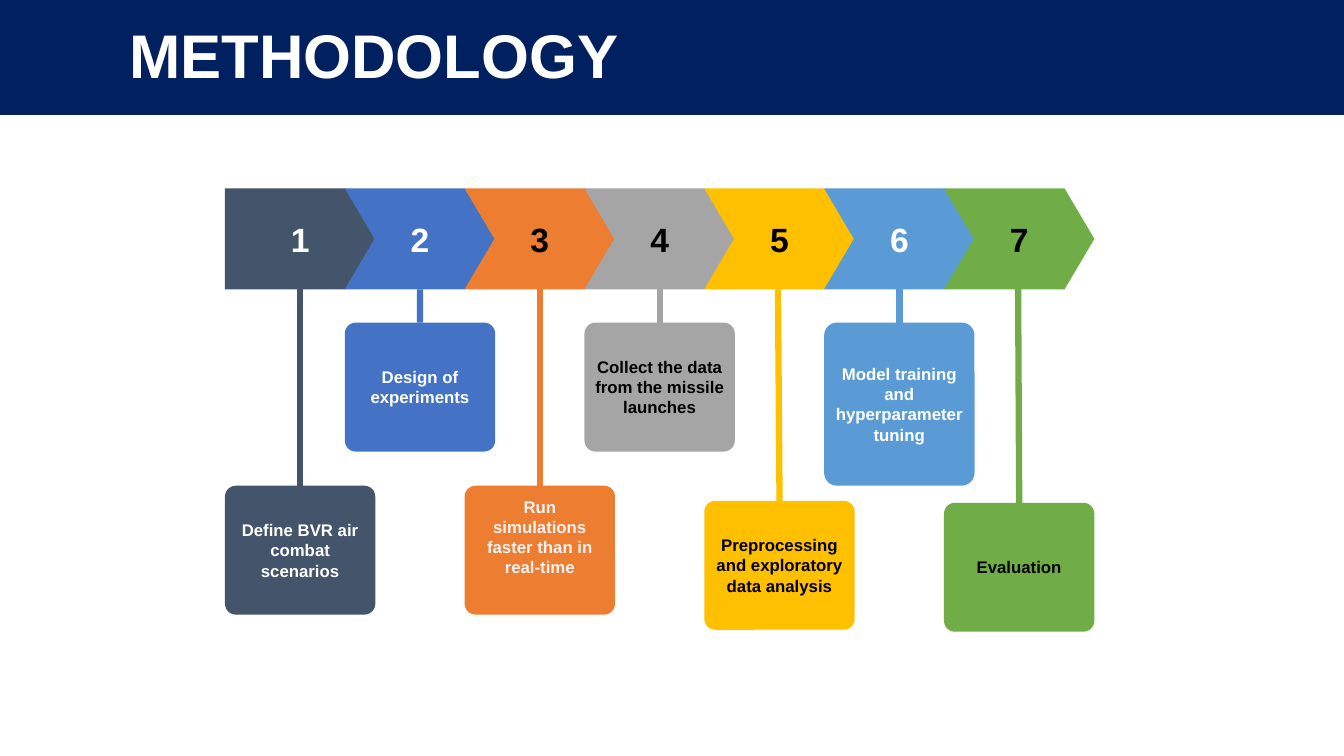
from dataclasses import dataclass

from lxml.etree import SubElement
from pptx import Presentation
from pptx.dml.color import RGBColor
from pptx.enum.shapes import MSO_CONNECTOR, MSO_SHAPE
from pptx.enum.text import MSO_ANCHOR, PP_ALIGN
from pptx.oxml.ns import qn
from pptx.shapes.autoshape import Shape
from pptx.slide import Slide
from pptx.util import Cm, Pt


@dataclass(frozen=True)
class Theme:
    font: str = "Arial"
    navy: str = "002060"
    white: str = "FFFFFF"
    pale: str = "F2F2F2"
    black: str = "000000"
    slate: str = "44546A"
    blue: str = "4472C4"
    orange: str = "ED7D31"
    grey: str = "A5A5A5"
    gold: str = "FFC000"
    sky: str = "5B9BD5"
    green: str = "70AD47"
    title_size: float = 44
    number_size: float = 24
    step_size: float = 12
    stem_width: float = 4.5


T = Theme()

# Lengths in centimetres
LEFT, PITCH, WIDTH = 5.67, 3.02, 3.79
ARROW_TOP, ARROW_HEIGHT, TIP = 4.75, 2.54, 0.75
ARROW_BOTTOM = ARROW_TOP + ARROW_HEIGHT
UPPER, LOWER = 8.13, 12.24
SIDE_INSET, END_INSET = 0.18, 0.1


@dataclass(frozen=True)
class Step:
    text: str
    fill: str
    number_color: str
    text_color: str
    top: float
    height: float = 3.25
    stem_top: float = ARROW_BOTTOM
    stem_shift: float = 0
    bottom_inset: float = END_INSET


STEPS = [
    Step("Define BVR air combat scenarios", T.slate, T.white, T.white, LOWER),
    Step("Design of experiments", T.blue, T.white, T.white, UPPER),
    Step("Run simulations faster than in real-time", T.orange, T.black, T.pale,
         LOWER, bottom_inset=0.78),
    Step("Collect the data from the missile launches", T.grey, T.black, T.black,
         UPPER),
    Step("Preprocessing and exploratory data analysis", T.gold, T.black, T.black,
         12.62, stem_shift=-0.04),
    Step("Model training and hyperparameter tuning", T.sky, T.white, T.white,
         UPPER, height=4.11),
    Step("Evaluation", T.green, T.black, T.black, 12.67,
         stem_top=6.83, stem_shift=-0.03),
]


def rgb(color: str) -> RGBColor:
    return RGBColor.from_string(color)


def write(shape: Shape, text: str, *, size: float, color: str,
          align: PP_ALIGN = PP_ALIGN.CENTER, line_spacing: float = 1.0,
          space_after: float = 0) -> None:
    tf = shape.text_frame
    tf.word_wrap = True
    tf.vertical_anchor = MSO_ANCHOR.MIDDLE
    p = tf.paragraphs[0]
    p.alignment = align
    p.line_spacing = line_spacing
    p.space_after = Pt(space_after)
    r = p.add_run()
    r.text = text
    r.font.name = T.font
    r.font.size = Pt(size)
    r.font.bold = True
    r.font.color.rgb = rgb(color)


def paint(shape: Shape, color: str) -> None:
    shape.shadow.inherit = False
    shape.fill.solid()
    shape.fill.fore_color.rgb = rgb(color)
    shape.line.fill.background()


def set_insets(shape: Shape, bottom: float = END_INSET) -> None:
    tf = shape.text_frame
    tf.margin_left = tf.margin_right = Cm(SIDE_INSET)
    tf.margin_top, tf.margin_bottom = Cm(END_INSET), Cm(bottom)


def add_header(s: Slide, width: int) -> None:
    band = s.shapes.add_shape(MSO_SHAPE.RECTANGLE, 0, 0, width, Cm(2.87))
    paint(band, T.navy)
    band.line.color.rgb = rgb(T.navy)
    band.line.width = Pt(1)
    title = s.shapes.title
    title._element.addprevious(band._element)
    title.left, title.top, title.width, title.height = (
        Cm(3), Cm(-0.2), Cm(27.81), Cm(3.33))
    write(title, "METHODOLOGY", size=T.title_size, color=T.white,
          align=PP_ALIGN.LEFT, line_spacing=0.9)


def add_arrow(s: Slide, index: int, step: Step) -> None:
    """Draw a numbered arrow; every one but the first is notched."""
    x = LEFT + index * PITCH
    middle = ARROW_TOP + ARROW_HEIGHT / 2
    points = [(x + WIDTH - TIP, ARROW_TOP), (x + WIDTH, middle),
              (x + WIDTH - TIP, ARROW_BOTTOM), (x, ARROW_BOTTOM)]
    if index:
        points.append((x + TIP, middle))
    outline = s.shapes.build_freeform(Cm(x), Cm(ARROW_TOP))
    outline.add_line_segments([(Cm(px), Cm(py)) for px, py in points])
    arrow = outline.convert_to_shape()
    paint(arrow, step.fill)
    set_insets(arrow)
    write(arrow, str(index + 1), size=T.number_size, color=step.number_color)


def add_box(s: Slide, index: int, step: Step) -> Shape:
    box = s.shapes.add_shape(
        MSO_SHAPE.ROUNDED_RECTANGLE, Cm(LEFT + index * PITCH), Cm(step.top),
        Cm(WIDTH), Cm(step.height))
    box.adjustments[0] = 0.085
    paint(box, step.fill)
    set_insets(box, step.bottom_inset)
    write(box, step.text, size=T.step_size, color=step.text_color,
          space_after=4.5)
    return box


def add_stem(s: Slide, index: int, step: Step, box: Shape) -> None:
    center = LEFT + index * PITCH + WIDTH / 2
    stem = s.shapes.add_connector(
        MSO_CONNECTOR.STRAIGHT, Cm(center + step.stem_shift),
        Cm(step.stem_top), Cm(center), Cm(step.top))
    stem.end_connect(box, 0)
    stem.line.color.rgb = rgb(step.fill)
    stem.line.width = Pt(T.stem_width)
    SubElement(stem._element.spPr, qn("a:effectLst"))


def main() -> None:
    prs = Presentation()
    prs.slide_width, prs.slide_height = Cm(33.87), Cm(19.05)
    s = prs.slides.add_slide(prs.slide_layouts[5])
    add_header(s, prs.slide_width)
    for index, step in enumerate(STEPS):
        add_arrow(s, index, step)
    boxes = [add_box(s, index, step) for index, step in enumerate(STEPS)]
    for index, (step, box) in enumerate(zip(STEPS, boxes)):
        add_stem(s, index, step, box)
    prs.save("out.pptx")


if __name__ == "__main__":
    main()
